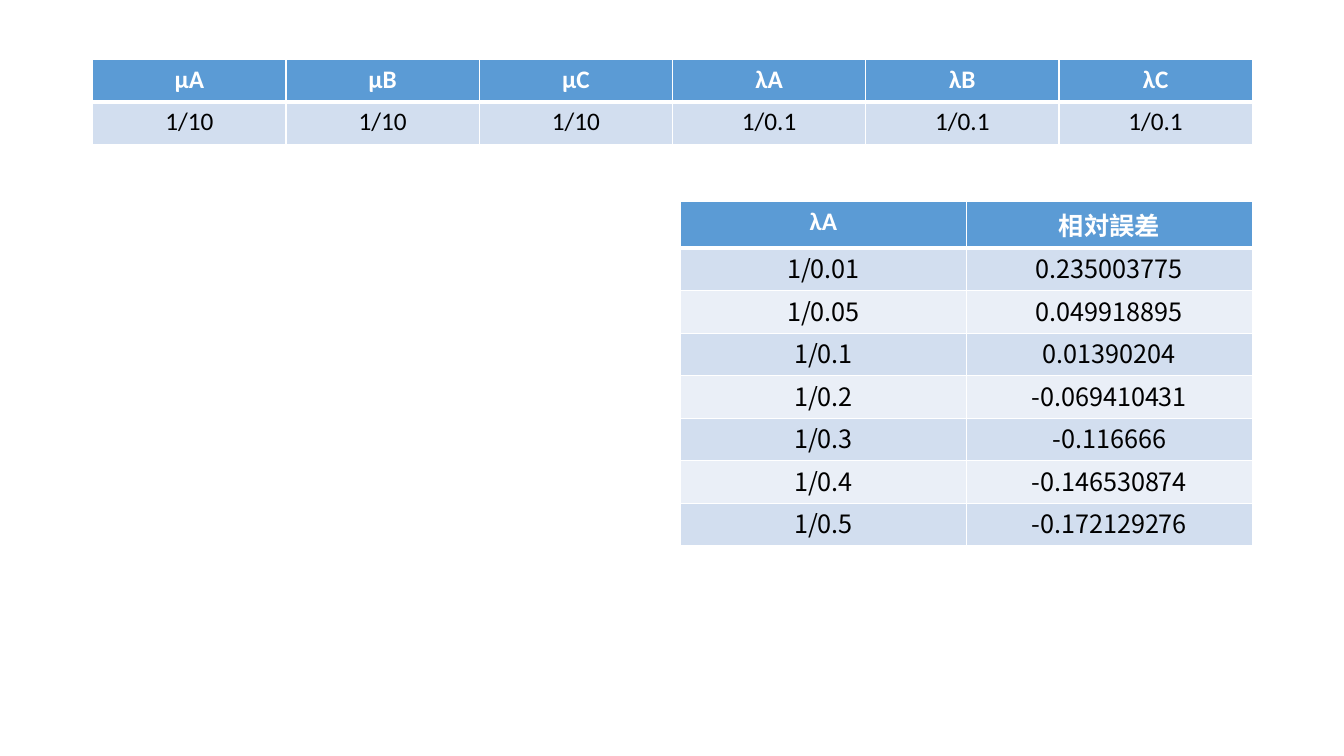
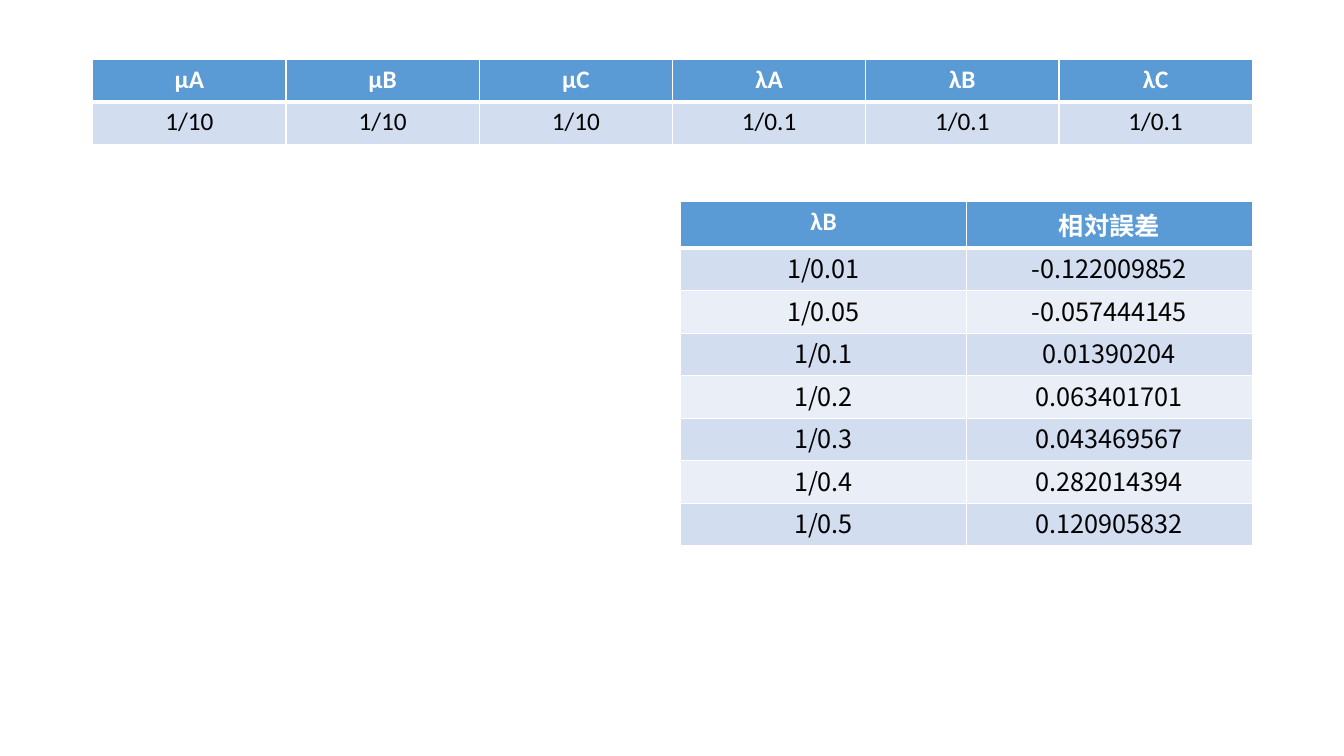
from lxml import etree
from pptx import Presentation
from pptx.dml.color import RGBColor
from pptx.enum.text import MSO_ANCHOR, PP_ALIGN
from pptx.oxml.ns import qn
from pptx.util import Inches, Pt

CENTER = PP_ALIGN.CENTER
TOP, MIDDLE = MSO_ANCHOR.TOP, MSO_ANCHOR.MIDDLE

# Content
RATES = [
    ("μA", "μB", "μC", "λA", "λB", "λC"),
    ("1/10", "1/10", "1/10", "1/0.1", "1/0.1", "1/0.1"),
]
VARIED_RATES = ("1/0.01", "1/0.05", "1/0.1", "1/0.2", "1/0.3", "1/0.4", "1/0.5")
RELATIVE_ERRORS = {
    "λA": ("0.235003775", "0.049918895", "0.01390204", "-0.069410431",
           "-0.116666", "-0.146530874", "-0.172129276"),
    "λB": ("-0.122009852", "-0.057444145", "0.01390204", "0.063401701",
           "0.043469567", "0.282014394", "0.120905832"),
}

# Shared style
WHITE, BLACK, HEADER = "FFFFFF", "000000", "5B9BD5"
BANDS = ("D2DEEF", "EAEFF7")
LATIN_FONT, JAPANESE_FONT = "Calibri", "Noto Sans CJK JP"
TEXT_SIZE = 18
ROW_HEIGHT = 0.42
RIGHT_EDGE = 12.42
THIN, THICK = 1, 3
TIGHT_MARGINS = (0.01, 0.01, 0.01, 0.05)


def color(hex_value):
    return RGBColor.from_string(hex_value)


def write_text(cell, text, font=LATIN_FONT, fill=BLACK, bold=False):
    paragraph = cell.text_frame.paragraphs[0]
    paragraph.alignment = CENTER
    run = paragraph.add_run()
    run.text = text
    run.font.name = font
    run.font.size = Pt(TEXT_SIZE)
    run.font.bold = bold
    run.font.color.rgb = color(fill)
    east_asian = etree.SubElement(run.font._element, qn("a:ea"))
    east_asian.set("typeface", JAPANESE_FONT)


def set_borders(cell, top, bottom):
    properties = cell._tc.get_or_add_tcPr()
    widths = {"a:lnL": THIN, "a:lnR": THIN, "a:lnT": top, "a:lnB": bottom}
    for tag, width in widths.items():
        line = etree.SubElement(properties, qn(tag), w=str(Pt(width)))
        solid = etree.SubElement(line, qn("a:solidFill"))
        etree.SubElement(solid, qn("a:srgbClr"), val=WHITE)


def format_cell(cell, text, row, body_font, tight):
    is_header = row == 0
    # The line under the header is the thick one, seen from both rows
    set_borders(cell, top=THICK if row == 1 else THIN,
                bottom=THICK if is_header else THIN)
    cell.fill.solid()
    cell.fill.fore_color.rgb = color(HEADER if is_header else BANDS[(row - 1) % 2])
    cell.vertical_anchor = TOP
    if is_header:
        write_text(cell, text, fill=WHITE, bold=True)
        return
    write_text(cell, text, font=body_font)
    if tight:
        cell.vertical_anchor = MIDDLE
        (cell.margin_left, cell.margin_top,
         cell.margin_right, cell.margin_bottom) = map(Inches, TIGHT_MARGINS)


def add_data_table(slide, rows, top, width, body_font=LATIN_FONT, tight=False):
    column_count = len(rows[0])
    frame = slide.shapes.add_table(
        len(rows), column_count, Inches(RIGHT_EDGE - width), Inches(top),
        Inches(width), Inches(ROW_HEIGHT * len(rows)))
    table = frame.table
    for column in table.columns:
        column.width = Inches(width / column_count)
    for row, values in enumerate(rows):
        table.rows[row].height = Inches(ROW_HEIGHT)
        for column, text in enumerate(values):
            format_cell(table.cell(row, column), text, row, body_font, tight)


def main():
    presentation = Presentation()
    presentation.slide_width = Inches(13.33)
    presentation.slide_height = Inches(7.5)
    blank_layout = presentation.slide_layouts[6]

    # One slide for each varied rate
    for rate, errors in RELATIVE_ERRORS.items():
        slide = presentation.slides.add_slide(blank_layout)
        error_rows = [(rate, "相対誤差"), *zip(VARIED_RATES, errors)]
        add_data_table(slide, error_rows, top=2, width=5.67,
                       body_font=JAPANESE_FONT, tight=True)
        add_data_table(slide, RATES, top=0.59, width=11.5)

    presentation.save("out.pptx")


if __name__ == "__main__":
    main()
